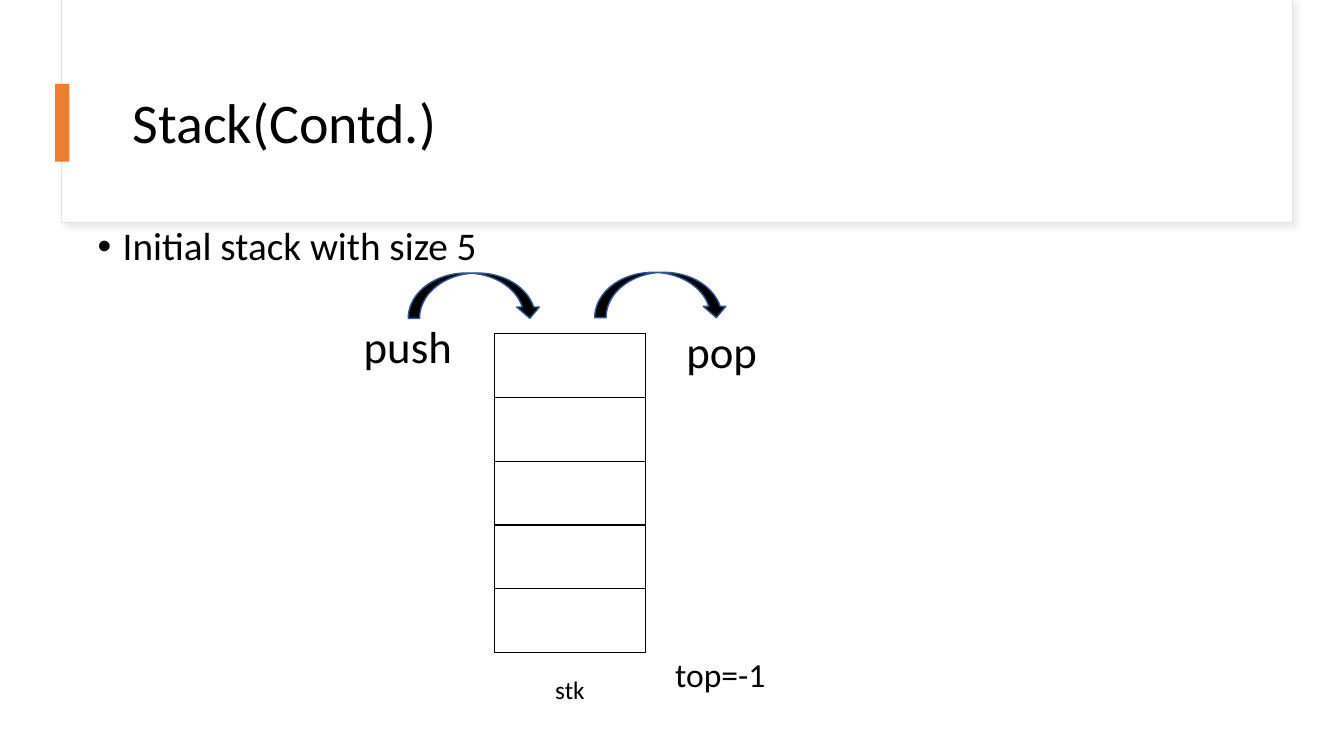
from lxml import etree
from pptx import Presentation
from pptx.dml.color import RGBColor
from pptx.enum.shapes import MSO_SHAPE
from pptx.enum.text import MSO_ANCHOR, MSO_AUTO_SIZE
from pptx.oxml.ns import qn
from pptx.util import Pt

BLACK = RGBColor(0x00, 0x00, 0x00)
WHITE = RGBColor(0xFF, 0xFF, 0xFF)
GREY = RGBColor(0xE1, 0xE1, 0xE1)
SHADE = RGBColor(0xD9, 0xD9, 0xD9)
ORANGE = RGBColor(0xED, 0x7D, 0x31)
BLUE = RGBColor(0x32, 0x54, 0x91)
RECT = MSO_SHAPE.RECTANGLE
ARROW = MSO_SHAPE.CURVED_DOWN_ARROW
TOP, MIDDLE = MSO_ANCHOR.TOP, MSO_ANCHOR.MIDDLE
FIT = MSO_AUTO_SIZE.SHAPE_TO_FIT_TEXT
FONT = "Calibri"


def node(parent, tag, **attrs):
    return etree.SubElement(parent, qn(tag), attrs)


class Board:
    def __init__(self, slide):
        self.slide = slide
        self.font = FONT
        self.ink = BLACK

    def shape(self, kind, box, fill, line=None, width=1):
        item = self.slide.shapes.add_shape(kind, *map(Pt, box))
        item.shadow.inherit = False
        item.fill.solid()
        item.fill.fore_color.rgb = fill
        if line is None:
            item.line.fill.background()
        else:
            item.line.color.rgb = line
            item.line.width = Pt(width)
        return item

    def shade(self, item, color, blur, dist):
        effect = item._element.spPr.find(qn("a:effectLst"))
        outer = node(effect, "a:outerShdw", blurRad=str(Pt(blur)),
                     dist=str(Pt(dist)), dir="2700000", algn="tl",
                     rotWithShape="0")
        tint = node(outer, "a:srgbClr", val=str(color))
        node(tint, "a:alpha", val="50000")

    def text(self, box, words, size, anchor=TOP, wrap=False):
        item = self.slide.shapes.add_textbox(*map(Pt, box))
        frame = item.text_frame
        frame.word_wrap = wrap
        frame.vertical_anchor = anchor
        if not wrap:
            frame.auto_size = FIT
        para = frame.paragraphs[0]
        if wrap:
            para.line_spacing = 0.9
        run = para.add_run()
        run.text = words
        run.font.name = self.font
        run.font.size = Pt(size)
        run.font.color.rgb = self.ink
        return para

    def bullet(self, box, words, size):
        para = self.text(box, words, size, wrap=True)
        para.space_before = Pt(10)
        props = para._p.get_or_add_pPr()
        props.set("marL", str(Pt(18)))
        props.set("indent", str(-Pt(18)))
        node(props, "a:buFont", typeface="Arial")
        node(props, "a:buChar", char="•")

    def stack(self, box, rows):
        table = self.slide.shapes.add_table(rows, 1, *map(Pt, box)).table
        table.first_row = False
        table.horz_banding = False
        for cell in table.iter_cells():
            props = cell._tc.get_or_add_tcPr()
            for side in ("a:lnL", "a:lnR", "a:lnT", "a:lnB"):
                edge = node(props, side, w=str(Pt(1)))
                node(node(edge, "a:solidFill"), "a:srgbClr", val=str(self.ink))
            cell.fill.solid()
            cell.fill.fore_color.rgb = WHITE


def main():
    deck = Presentation()
    deck.slide_width, deck.slide_height = Pt(960), Pt(540)
    board = Board(deck.slides.add_slide(deck.slide_layouts[6]))

    # Title panel
    panel = board.shape(RECT, (44, 0, 879, 159.3), WHITE, GREY, 0.75)
    board.shade(panel, SHADE, 4, 3)
    board.shape(RECT, (44.6, 0, 878.4, 158.6), WHITE)
    board.text((87.8, 43.2, 800.6, 92.9), "Stack(Contd.)", 40, MIDDLE, True)
    board.shape(RECT, (39.5, 60, 10.2, 55.5), ORANGE)

    # Stack of five cells
    board.bullet((62.6, 158.4, 369.4, 57.6), "Initial stack with size 5", 28)
    board.stack((353.3, 238.2, 108, 228), 5)

    # Push and pop arrows
    for left, top in ((291.6, 195), (424.8, 194.5)):
        board.shape(ARROW, (left, top, 95, 32.4), BLACK, BLUE)

    # Labels
    for box, words, size in (
        ((389.5, 478, 36, 29), "stk", 18),
        ((475.2, 463.7, 80, 36), "top=-1", 24),
        ((252.7, 224, 78.5, 46), "push", 32),
        ((483.1, 227.5, 65.5, 46), "pop", 32),
    ):
        board.text(box, words, size)

    deck.save("out.pptx")


if __name__ == "__main__":
    main()
